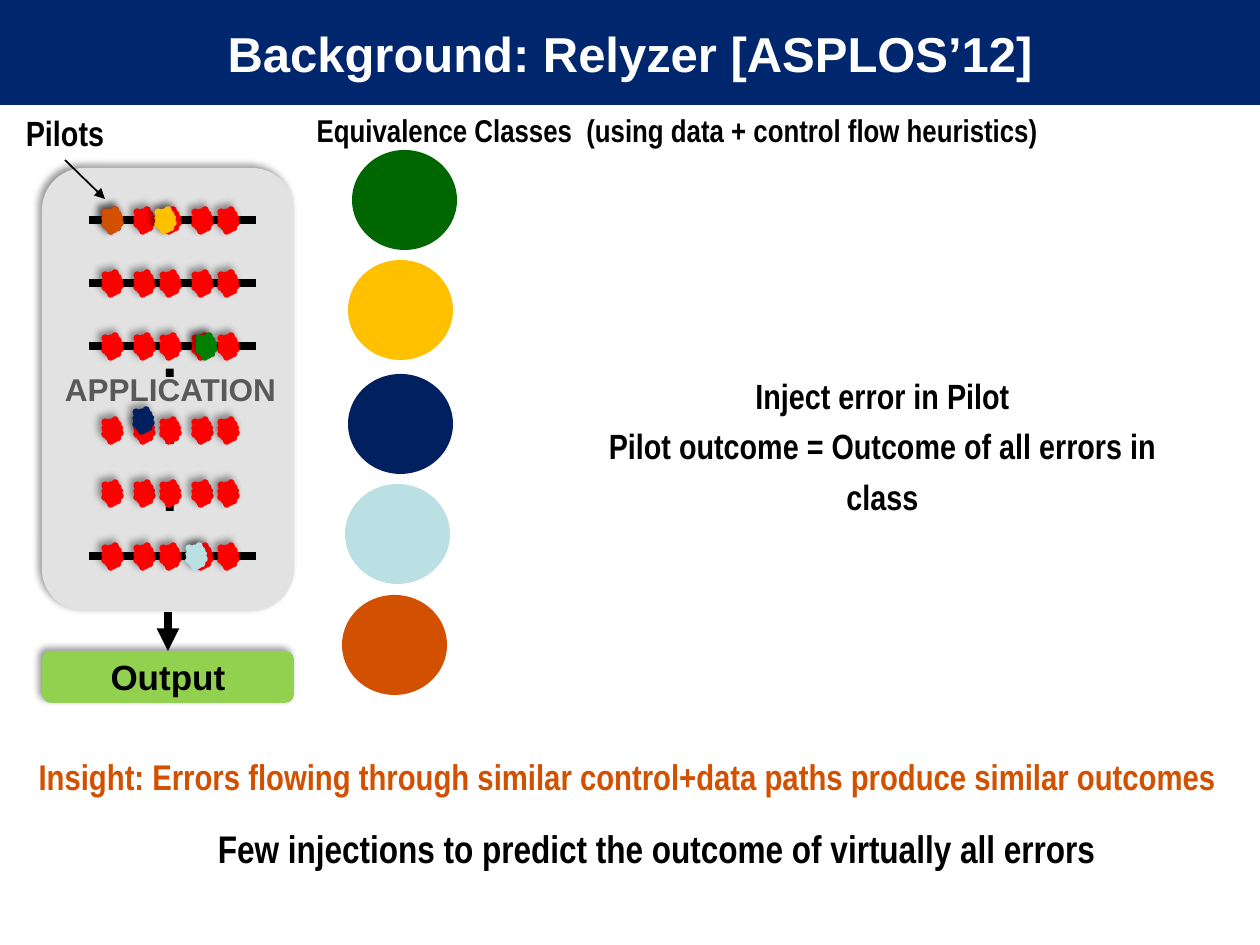
from dataclasses import dataclass
from itertools import product

from lxml.etree import SubElement
from pptx import Presentation
from pptx.dml.color import RGBColor
from pptx.enum.shapes import MSO_CONNECTOR, MSO_SHAPE as Shape
from pptx.enum.text import MSO_ANCHOR as Anchor, PP_ALIGN as Align
from pptx.oxml.ns import qn
from pptx.util import Emu, Pt

EMU_PER_PX = 914400 / 126
COLORS = {
    "title": "00266E", "white": "FFFFFF", "black": "000000", "panel": "E2E2E2",
    "label": "595959", "output": "92D050", "error": "FF0000", "pilot_green": "008000",
    "green": "006600", "yellow": "FFC000", "navy": "002060",
    "cyan": "BBE0E3", "orange": "D15100",
}
NARROW = "Arial Narrow"


@dataclass(frozen=True)
class Box:
    left: int
    top: int
    width: int
    height: int

    def emu(self) -> list[Emu]:
        return [px(v) for v in (self.left, self.top, self.width, self.height)]


@dataclass(frozen=True)
class Style:
    size: float
    font: str = "Arial"
    color: str = "black"
    align: Align = Align.CENTER


@dataclass(frozen=True)
class Pilot:
    left: int
    top: int
    color: str


def px(value: int) -> Emu:
    return Emu(round(value * EMU_PER_PX))


def rgb(name: str) -> RGBColor:
    return RGBColor.from_string(COLORS[name])


def write(frame, lines: list[str], style: Style, spacing: tuple = ()) -> None:
    """Put one bold run in each paragraph; spacing lists the line spacings."""
    for index, line in enumerate(lines):
        para = frame.paragraphs[0] if index == 0 else frame.add_paragraph()
        para.alignment = style.align
        if spacing:
            para.line_spacing = spacing[index]
        span = para.add_run()
        span.text = line
        span.font.size = Pt(style.size)
        span.font.name = style.font
        span.font.bold = True
        span.font.color.rgb = rgb(style.color)


def add_text(page, box: Box, lines: list[str], style: Style,
             spacing: tuple = (), wrap: bool = True):
    frame = page.shapes.add_textbox(*box.emu()).text_frame
    frame.word_wrap = wrap
    write(frame, lines, style, spacing)
    return frame


def add_filled(page, kind: Shape, box: Box, color: str,
               outline: float = 0, shadow: bool = False):
    shape = page.shapes.add_shape(kind, *box.emu())
    shape.fill.solid()
    shape.fill.fore_color.rgb = rgb(color)
    if outline:
        shape.line.color.rgb = rgb(color)
        shape.line.width = Pt(outline)
    else:
        shape.line.fill.background()
    shape.shadow.inherit = False
    if shadow:
        effects = shape._element.spPr.find(qn("a:effectLst"))
        outer = SubElement(effects, qn("a:outerShdw"), blurRad=str(Pt(4)),
                           dist=str(Pt(3)), dir=str(225 * 60000), rotWithShape="0")
        tint = SubElement(outer, qn("a:srgbClr"), val=COLORS["black"])
        SubElement(tint, qn("a:alpha"), val="40000")
    return shape


def add_line(page, start: tuple[int, int], end: tuple[int, int],
             width: float, arrow: bool = False) -> None:
    line = page.shapes.add_connector(
        MSO_CONNECTOR.STRAIGHT, *(px(v) for v in start + end))
    line.line.color.rgb = rgb("black")
    line.line.width = Pt(width)
    if arrow:
        SubElement(line.line._get_or_add_ln(), qn("a:tailEnd"), type="triangle")
    SubElement(line._element.spPr, qn("a:effectLst"))


def add_error(page, left: int, top: int, color: str) -> None:
    add_filled(page, Shape.EXPLOSION1, Box(left, top, 15, 21), color, 4.32, True)


def add_title(page) -> None:
    title = page.shapes.title
    title.left, title.top, title.width, title.height = Box(0, 0, 1260, 105).emu()
    title.fill.solid()
    title.fill.fore_color.rgb = rgb("title")
    title.text_frame.vertical_anchor = Anchor.MIDDLE
    write(title.text_frame, ["Background: Relyzer [ASPLOS’12]"], Style(28, color="white"))


def add_application(page) -> None:
    add_filled(page, Shape.ROUNDED_RECTANGLE, Box(42, 168, 252, 443), "panel", shadow=True)
    add_text(page, Box(42, 364, 257, 50), ["APPLICATION"],
             Style(18, color="label"), wrap=False)
    for y in (220, 283, 346, 556):
        add_line(page, (89, y), (256, y), 4.32)
    dots = add_text(page, Box(162, 315, 18, 217), ["."] * 3, Style(32, align=Align.LEFT))
    dots.margin_left = dots.margin_right = 0
    add_line(page, (168, 612), (168, 651), 4.32, arrow=True)
    output = add_filled(page, Shape.ROUNDED_RECTANGLE, Box(42, 651, 252, 52),
                        "output", shadow=True)
    output.text_frame.vertical_anchor = Anchor.MIDDLE
    write(output.text_frame, ["Output"], Style(20))


def add_classes(page) -> None:
    circles = (("orange", 342, 595), ("cyan", 345, 484), ("navy", 348, 374),
               ("yellow", 348, 260), ("green", 352, 150))
    for color, left, top in circles:
        add_filled(page, Shape.OVAL, Box(left, top, 105, 100), color)
    add_text(page, Box(210, 105, 935, 50),
             ["Equivalence Classes  (using data + control flow heuristics)"],
             Style(18, NARROW))


def add_errors(page) -> None:
    row_tops = [first + 63 * step for first, step in product((210, 420), range(3))]
    for top, left in product(row_tops, (105, 137, 163, 195, 221)):
        add_error(page, left, top, "error")
    pilots = (Pilot(199, 336, "pilot_green"), Pilot(158, 210, "yellow"),
              Pilot(136, 410, "navy"), Pilot(189, 546, "cyan"),
              Pilot(105, 210, "orange"))
    for pilot in pilots:
        add_error(page, pilot.left, pilot.top, pilot.color)


def main() -> None:
    deck = Presentation()
    deck.slide_width, deck.slide_height = px(1260), px(945)
    page = deck.slides.add_slide(deck.slide_layouts[5])
    add_title(page)
    add_application(page)
    add_classes(page)
    add_text(page, Box(13, 105, 104, 55), ["Pilots"], Style(20, NARROW), wrap=False)
    add_line(page, (65, 160), (105, 199), 1, arrow=True)
    add_errors(page)
    add_text(page, Box(53, 819, 1207, 59),
             ["Few injections to predict the outcome of virtually all errors"],
             Style(22, NARROW))
    add_text(page, Box(-3, 740, 1260, 100),
             ["Insight: Errors flowing through similar control+data paths "
              "produce similar outcomes"],
             Style(20.4, NARROW, "orange"), (1.2,))
    add_text(page, Box(557, 368, 651, 105),
             ["Inject error in Pilot", "Pilot outcome = Outcome of all errors in class"],
             Style(20, NARROW), (1.0, 1.2))
    deck.save("out.pptx")


if __name__ == "__main__":
    main()
